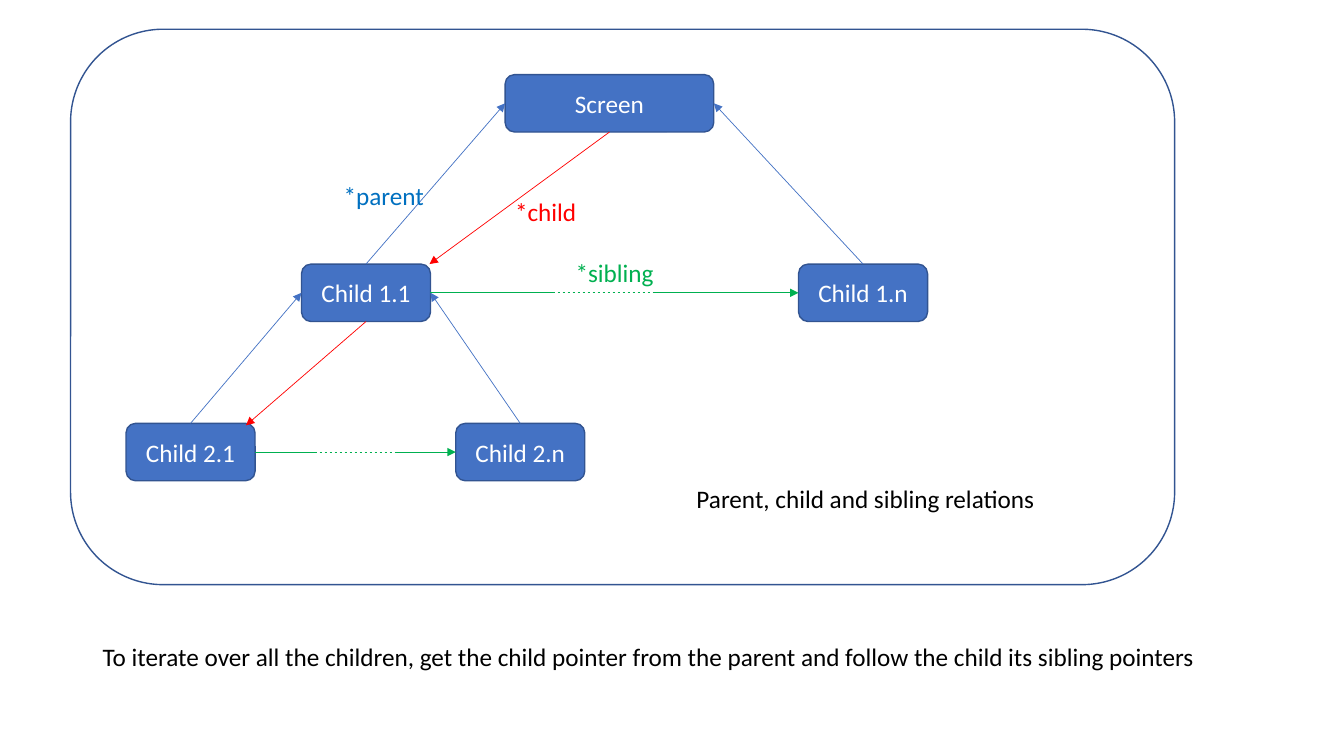
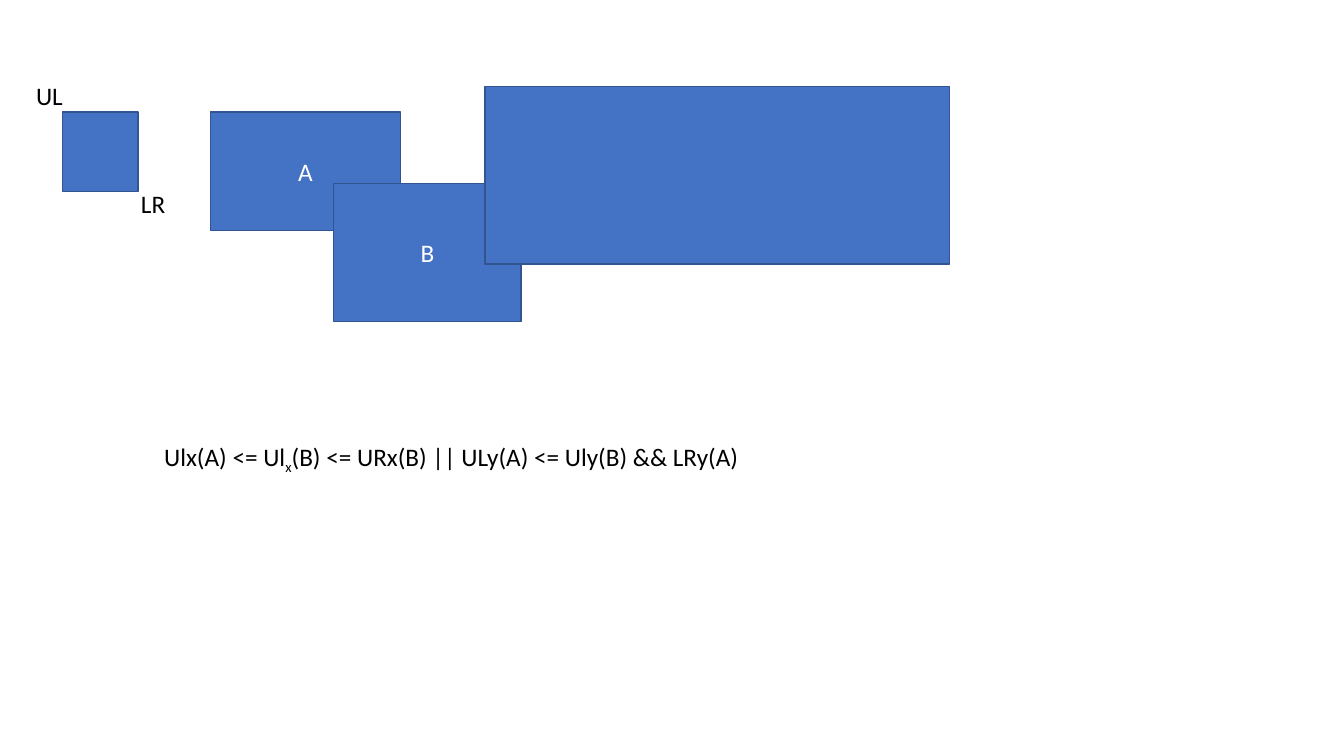
from dataclasses import dataclass

from lxml import etree
from pptx import Presentation
from pptx.dml.color import RGBColor
from pptx.enum.dml import MSO_LINE
from pptx.enum.shapes import MSO_CONNECTOR, MSO_SHAPE
from pptx.enum.text import MSO_ANCHOR, MSO_AUTO_SIZE, PP_ALIGN
from pptx.oxml.ns import qn
from pptx.util import Inches, Pt

TOP, LEFT, BOTTOM, RIGHT = range(4)
BLANK_LAYOUT = 6
NODE_WIDTH, NODE_HEIGHT = 1.28, 0.57


@dataclass(frozen=True)
class Theme:
    font: str = "Calibri"
    size: float = 18
    fill: str = "4472C4"
    outline: str = "325491"
    light: str = "FFFFFF"
    dark: str = "000000"
    parent: str = "0070C0"
    child: str = "FF0000"
    sibling: str = "00B050"
    outline_width: float = 1
    arrow_width: float = 0.5


def write(frame, text, color, theme, align=PP_ALIGN.LEFT):
    """Fill the frame with a string, or with (string, baseline percent) pairs."""
    para = frame.paragraphs[0]
    para.alignment = align
    pieces = [(text, 0)] if isinstance(text, str) else text
    for words, baseline in pieces:
        span = para.add_run()
        span.text = words
        span.font.name = theme.font
        span.font.size = Pt(theme.size)
        span.font.color.rgb = RGBColor.from_string(color)
        if baseline:
            span._r.get_or_add_rPr().set("baseline", str(baseline * 1000))


class Diagram:
    def __init__(self, deck, theme):
        self.deck = deck
        self.theme = theme
        self.page = None

    def new_page(self):
        self.page = self.deck.slides.add_slide(self.deck.slide_layouts[BLANK_LAYOUT])

    def box(self, left, top, width, height, text="", preset=MSO_SHAPE.RECTANGLE, filled=True):
        box = self.page.shapes.add_shape(
            preset, Inches(left), Inches(top), Inches(width), Inches(height))
        box.shadow.inherit = False
        if filled:
            box.fill.solid()
            box.fill.fore_color.rgb = RGBColor.from_string(self.theme.fill)
        else:
            box.fill.background()
        box.line.color.rgb = RGBColor.from_string(self.theme.outline)
        box.line.width = Pt(self.theme.outline_width)
        if text:
            box.text_frame.vertical_anchor = MSO_ANCHOR.MIDDLE
            write(box.text_frame, text, self.theme.light, self.theme, PP_ALIGN.CENTER)
        return box

    def node(self, left, top, text, width=NODE_WIDTH):
        return self.box(left, top, width, NODE_HEIGHT, text, MSO_SHAPE.ROUNDED_RECTANGLE)

    def label(self, left, top, width, text, color=None):
        box = self.page.shapes.add_textbox(
            Inches(left), Inches(top), Inches(width), Inches(0.4))
        box.text_frame.word_wrap = False
        box.text_frame.auto_size = MSO_AUTO_SIZE.SHAPE_TO_FIT_TEXT
        write(box.text_frame, text, color or self.theme.dark, self.theme)

    def link(self, start, end, color, arrow=True, dashed=False):
        """Draw a line; each end is an (x, y) point in inches or a (shape, side) pair."""
        points = [(0, 0) if hasattr(a, "shape_id") else (a, b) for a, b in (start, end)]
        (x1, y1), (x2, y2) = points
        line = self.page.shapes.add_connector(
            MSO_CONNECTOR.STRAIGHT, Inches(x1), Inches(y1), Inches(x2), Inches(y2))
        for connect, (target, side) in ((line.begin_connect, start), (line.end_connect, end)):
            if hasattr(target, "shape_id"):
                connect(target, side)
        line.line.color.rgb = RGBColor.from_string(color)
        line.line.width = Pt(self.theme.arrow_width)
        if dashed:
            line.line.dash_style = MSO_LINE.DASH
        properties = line._element.spPr
        if arrow:
            outline = properties.find(qn("a:ln"))
            etree.SubElement(outline, qn("a:tailEnd"), type="triangle")
        etree.SubElement(properties, qn("a:effectLst"))

    def sibling_link(self, first, last, dash_from, dash_to):
        """Link two siblings with an arrow whose middle part is dashed."""
        y = (first.top + first.height / 2) / Inches(1)
        green = self.theme.sibling
        self.link((first, RIGHT), (dash_from, y), green, arrow=False)
        self.link((dash_from, y), (dash_to, y), green, arrow=False, dashed=True)
        self.link((dash_to, y), (last, LEFT), green)


def draw_relations(diagram):
    theme = diagram.theme
    diagram.new_page()
    diagram.box(0.7, 0.29, 10.95, 5.51, preset=MSO_SHAPE.ROUNDED_RECTANGLE, filled=False)

    screen = diagram.node(5.01, 0.74, "Screen", width=2.07)
    child_11 = diagram.node(2.99, 2.62, "Child 1.1")
    child_1n = diagram.node(7.92, 2.62, "Child 1.n")
    child_21 = diagram.node(1.25, 4.2, "Child 2.1")
    child_2n = diagram.node(4.52, 4.2, "Child 2.n")

    for child, parent, side in ((child_11, screen, LEFT), (child_1n, screen, RIGHT),
                                (child_21, child_11, LEFT), (child_2n, child_11, RIGHT)):
        diagram.link((child, TOP), (parent, side), theme.fill)
    for parent, corner in ((screen, (4.26, 2.62)), (child_11, (2.44, 4.22))):
        diagram.link((parent, BOTTOM), corner, theme.child)
    diagram.sibling_link(child_11, child_1n, 5.48, 6.5)
    diagram.sibling_link(child_21, child_2n, 3.12, 3.93)

    diagram.label(3.31, 1.74, 1, "*parent", theme.parent)
    diagram.label(5.01, 1.9, 0.82, "*child", theme.child)
    diagram.label(5.61, 2.5, 0.99, "*sibling", theme.sibling)
    diagram.label(6.81, 4.75, 3.6, "Parent, child and sibling relations")
    diagram.label(0.92, 6.31, 11.17, "To iterate over all the children, get the child pointer "
                  "from the parent and follow the child its sibling pointers")


def draw_overlap(diagram):
    diagram.new_page()
    diagram.box(2.09, 1.11, 1.88, 1.18, "A")
    diagram.box(3.31, 1.82, 1.86, 1.37, "B")
    diagram.box(4.81, 0.86, 4.61, 1.76)
    diagram.box(0.62, 1.11, 0.75, 0.79)
    diagram.label(0.26, 0.75, 0.47, "UL")
    diagram.label(1.3, 1.82, 0.45, "LR")
    diagram.label(1.53, 4.33, 6.03, [
        ("Ulx(A) <= Ul", 0), ("x", -25),
        ("(B) <= URx(B) || ULy(A) <= Uly(B) && LRy(A)", 0)])


def main():
    deck = Presentation()
    deck.slide_width, deck.slide_height = Inches(13.33), Inches(7.5)
    diagram = Diagram(deck, Theme())
    draw_relations(diagram)
    draw_overlap(diagram)
    deck.save("out.pptx")


if __name__ == "__main__":
    main()
